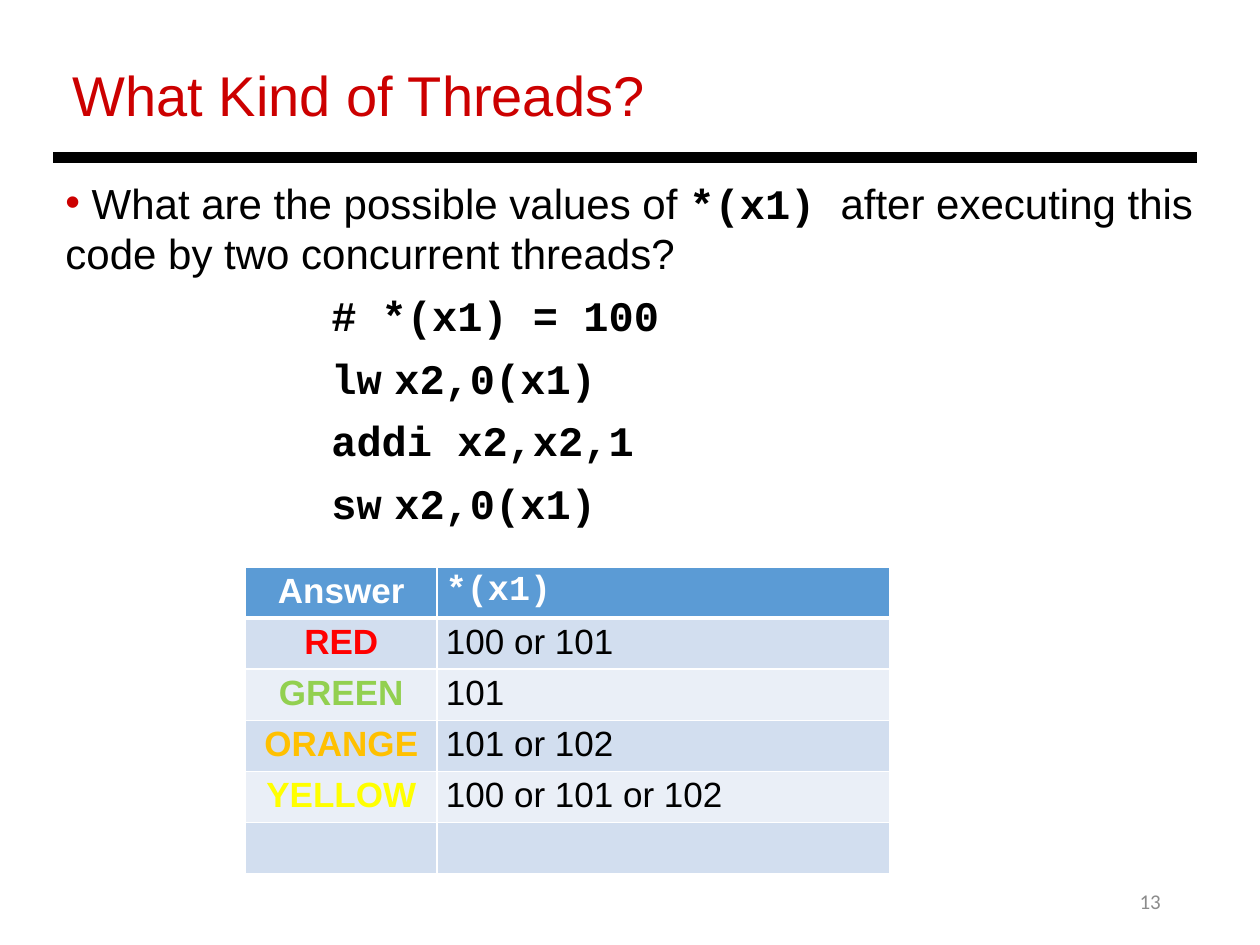
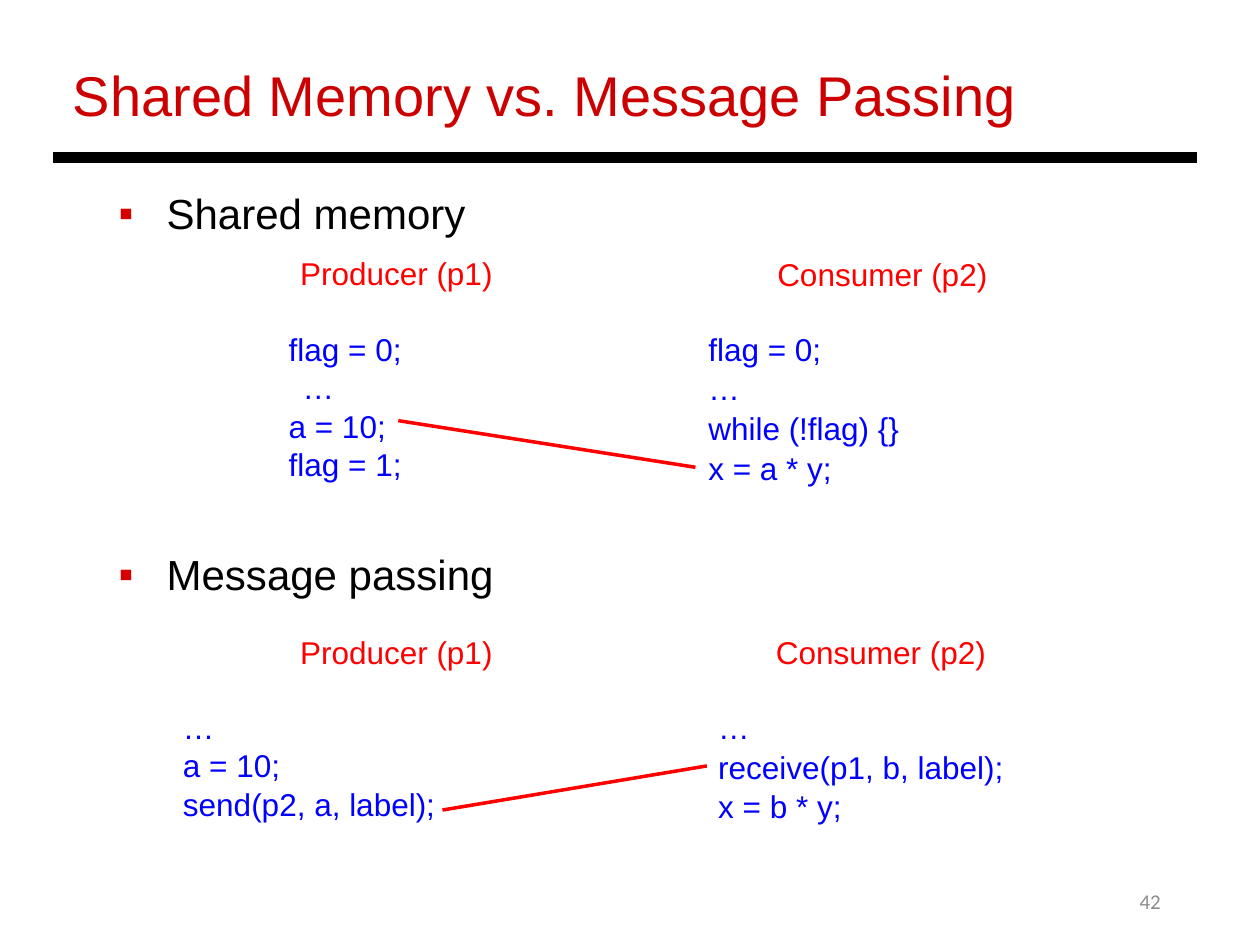
from lxml import etree
from pptx import Presentation
from pptx.dml.color import RGBColor
from pptx.enum.shapes import MSO_CONNECTOR
from pptx.enum.text import MSO_ANCHOR, PP_ALIGN
from pptx.oxml.ns import qn
from pptx.util import Cm, Pt

STRAIGHT = MSO_CONNECTOR.STRAIGHT
MIDDLE = MSO_ANCHOR.MIDDLE
LEFT, CENTER, RIGHT = PP_ALIGN.LEFT, PP_ALIGN.CENTER, PP_ALIGN.RIGHT

BLACK, WHITE, GRAY = "000000", "FFFFFF", "8C8C8C"
TITLE_RED, BULLET_RED, RED, BLUE = "CC0000", "D70000", "FF0000", "0000FF"
HEADER_FILL, BANDS = "5B9BD5", ("D2DEEF", "EAEFF7")
SANS, MONO, FOOTER_FONT = "Arial", "Courier New", "Calibri"

STYLES = {
    "title": (SANS, 32, TITLE_RED, False),
    "number": (FOOTER_FONT, 12, GRAY, False),
    "body": (SANS, 24, BLACK, False),
    "code": (MONO, 24, BLACK, True),
    "role": (SANS, 18, RED, False),
    "step": (SANS, 18, BLUE, False),
}

THREADS_TITLE = "What Kind of Threads?"
QUESTION = [
    (" What are the possible values of ", "body"),
    ("*(x1) ", "code"),
    ("after executing this code by two concurrent threads?", "body"),
]
CODE = ["# *(x1) = 100", "lw\tx2,0(x1)", "addi\tx2,x2,1", "sw\tx2,0(x1)"]
ANSWERS = [
    ("Answer", "*(x1)", WHITE),
    ("RED", "100 or 101", "FF0000"),
    ("GREEN", "101", "92D050"),
    ("ORANGE", "101 or 102", "FFC000"),
    ("YELLOW", "100 or 101 or 102", "FFFF00"),
    ("", "", BLACK),
]
ANSWER_COLUMNS, ANSWER_ROW = (3.86, 9.12), 1.03

MEMORY_TITLE = "Shared Memory vs. Message Passing"
AFTER_ROLE = 21.5
PRODUCERS = [
    ("Shared memory", "body", {"bullet": True}),
    ("Producer (p1)", "role", {"indent": 3.66, "before": 9.2}),
    ("flag = 0;", "step", {"indent": 3.43, "before": AFTER_ROLE}),
    ("…", "step", {"indent": 0.36, "align": CENTER, "before": 0.4}),
    ("a = 10;", "step", {"indent": 3.43, "before": 0.4}),
    ("flag = 1;", "step", {"indent": 3.43, "before": 0.4}),
    ("Message passing", "body", {"bullet": True, "before": 37.4}),
    ("Producer (p1)", "role", {"indent": 3.66, "before": 19.2}),
    ("…", "step", {"indent": 1.3, "before": AFTER_ROLE}),
    ("a = 10;", "step", {"indent": 1.3, "before": 0.4}),
    ("send(p2, a, label);", "step", {"indent": 1.3, "before": 0.4}),
]
MEMORY_CONSUMER = [
    ("Consumer (p2)", "role", {"indent": 1.42}),
    ("flag = 0;", "step", {"before": AFTER_ROLE}),
    ("…", "step", {"before": 0.4}),
    ("while (!flag) {}", "step", {"before": 0.8, "spacing": Pt(22)}),
    ("x = a * y;", "step", {"before": 0.8, "spacing": Pt(22)}),
]
MESSAGE_CONSUMER = [
    ("Consumer (p2)", "role", {"indent": 1.19}),
    ("…", "step", {"before": AFTER_ROLE}),
    ("receive(p1, b, label);", "step", {"before": 0.8, "spacing": Pt(22)}),
    ("x = b * y;", "step", {"spacing": Pt(22)}),
]
COLUMNS = [
    (PRODUCERS, (2.39, 3.33, 7.7, 13.41), 0.46),
    (MEMORY_CONSUMER, (14.25, 5.11, 6.27, 4.75), 0.03),
    (MESSAGE_CONSUMER, (14.45, 12.73, 6.3, 3.96), 0.03),
]
DATA_FLOWS = [((8.03, 8.48), (14.02, 9.42)), ((8.92, 16.33), (14.25, 15.44))]


def rgb(color):
    return RGBColor.from_string(color)


def add_xml(parent, tag, **attributes):
    return etree.SubElement(parent, qn(tag), attributes)


def format_run(run, style, color=None, size=None, bold=None):
    font, points, default_color, default_bold = STYLES[style]
    run.font.name = font
    run.font.size = Pt(size or points)
    run.font.bold = default_bold if bold is None else bold
    run.font.color.rgb = rgb(color or default_color)


def set_bullet(paragraph, symbol, color):
    properties = paragraph._p.get_or_add_pPr()
    add_xml(add_xml(properties, "a:buClr"), "a:srgbClr", val=color)
    add_xml(properties, "a:buFont", typeface=SANS)
    add_xml(properties, "a:buChar", char=symbol)


def set_indent(paragraph, margin, first=0):
    properties = paragraph._p.get_or_add_pPr()
    properties.set("marL", str(Cm(margin)))
    properties.set("indent", str(Cm(first)))


def add_frame(slide, place, insets=None):
    frame = slide.shapes.add_textbox(*map(Cm, place)).text_frame
    frame.word_wrap = True
    if insets:
        (frame.margin_left, frame.margin_top,
         frame.margin_right, frame.margin_bottom) = map(Cm, insets)
    return frame


def write_lines(frame, lines):
    frame.text = "\n".join(text for text, _, _ in lines)
    for paragraph, (_, style, layout) in zip(frame.paragraphs, lines):
        paragraph.alignment = layout.get("align", LEFT)
        paragraph.space_before = Pt(layout.get("before", 0))
        if "spacing" in layout:
            paragraph.line_spacing = layout["spacing"]
        if layout.get("bullet"):
            set_indent(paragraph, 0.97, -0.97)
            set_bullet(paragraph, "▪", BULLET_RED)
        else:
            set_indent(paragraph, layout.get("indent", 0.03))
        if "tab" in layout:
            tabs = add_xml(paragraph._p.get_or_add_pPr(), "a:tabLst")
            add_xml(tabs, "a:tab", pos=str(Cm(layout["tab"])), algn="l")
        for run in paragraph.runs:
            format_run(run, style)


def add_line(slide, start, end, color, width):
    line = slide.shapes.add_connector(STRAIGHT, *map(Cm, start + end))
    line.line.color.rgb = rgb(color)
    line.line.width = Pt(width)
    add_xml(line._element.spPr, "a:effectLst")


def add_base_slide(deck, title, number):
    slide = deck.slides.add_slide(deck.slide_layouts[6])
    number_frame = add_frame(slide, (17.93, 17.65, 5.72, 1.02))
    number_frame.vertical_anchor = MIDDLE
    write_lines(number_frame, [(str(number), "number", {"align": RIGHT, "indent": 0})])
    title_frame = add_frame(slide, (1.22, 1.09, 19.56, 1.63))
    write_lines(title_frame, [(title, "title", {"indent": 0})])
    add_line(slide, (1.07, 3.18), (24.13, 3.18), BLACK, 6)
    return slide


def set_borders(cell, top, bottom):
    properties = cell._tc.get_or_add_tcPr()
    for side, width in (("L", 1), ("R", 1), ("T", top), ("B", bottom)):
        border = add_xml(properties, f"a:ln{side}", w=str(Pt(width)))
        add_xml(add_xml(border, "a:solidFill"), "a:srgbClr", val=WHITE)


def add_answers(slide):
    table = slide.shapes.add_table(
        len(ANSWERS), len(ANSWER_COLUMNS), Cm(4.95), Cm(11.43),
        Cm(sum(ANSWER_COLUMNS)), Cm(ANSWER_ROW * len(ANSWERS))).table
    for column, width in zip(table.columns, ANSWER_COLUMNS):
        column.width = Cm(width)
    for row, (answer, values, color) in enumerate(ANSWERS):
        table.rows[row].height = Cm(ANSWER_ROW)
        header = row == 0
        for column, text in enumerate((answer, values)):
            cell = table.cell(row, column)
            set_borders(cell, 3 if row == 1 else 1, 3 if header else 1)
            cell.fill.solid()
            cell.fill.fore_color.rgb = rgb(HEADER_FILL if header else BANDS[(row - 1) % 2])
            cell.margin_left = cell.margin_right = Cm(0.18)
            cell.margin_top = cell.margin_bottom = Cm(0.09)
            cell.text_frame.text = text
            paragraph = cell.text_frame.paragraphs[0]
            paragraph.alignment = LEFT if column else CENTER
            for run in paragraph.runs:
                format_run(run, "code" if header and column else "body",
                           color if header or not column else BLACK,
                           20, header or not column)


def build_threads(deck):
    slide = add_base_slide(deck, THREADS_TITLE, 13)
    question = add_frame(slide, (1.07, 3.45, 23.57, 2.31)).paragraphs[0]
    set_indent(question, 0)
    set_bullet(question, "•", TITLE_RED)
    for text, style in QUESTION:
        run = question.add_run()
        run.text = text
        format_run(run, style)
    code = add_frame(slide, (6.43, 5.82, 11.73, 9.83))
    write_lines(code, [
        (line, "code", {"indent": 0, "before": 10 if row else 0, "spacing": 0.9, "tab": 2.54})
        for row, line in enumerate(CODE)])
    add_answers(slide)


def build_memory(deck):
    slide = add_base_slide(deck, MEMORY_TITLE, 42)
    for lines, place, top in COLUMNS:
        write_lines(add_frame(slide, place, (0, top, 0, 0)), lines)
    for start, end in DATA_FLOWS:
        add_line(slide, start, end, RED, 2)


def main():
    deck = Presentation()
    deck.slide_width, deck.slide_height = Cm(25.4), Cm(19.05)
    build_threads(deck)
    build_memory(deck)
    deck.save("out.pptx")


if __name__ == "__main__":
    main()
